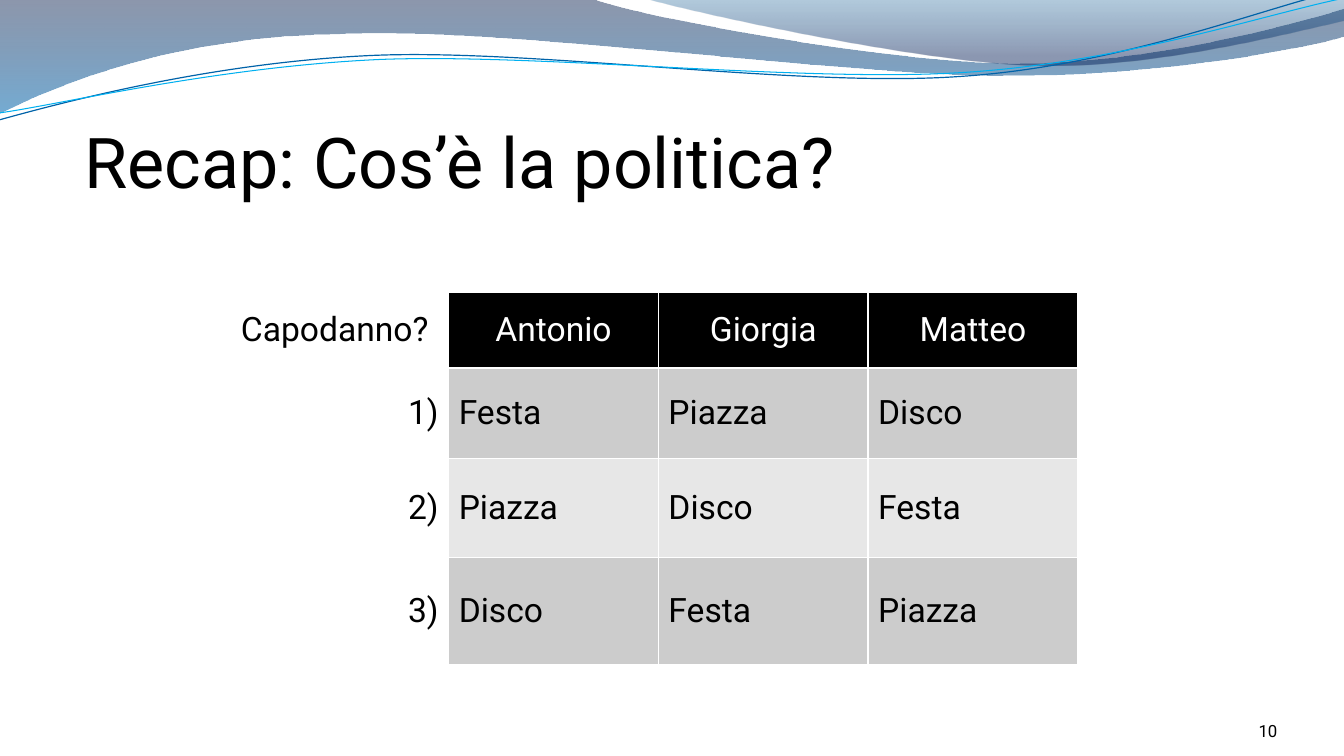
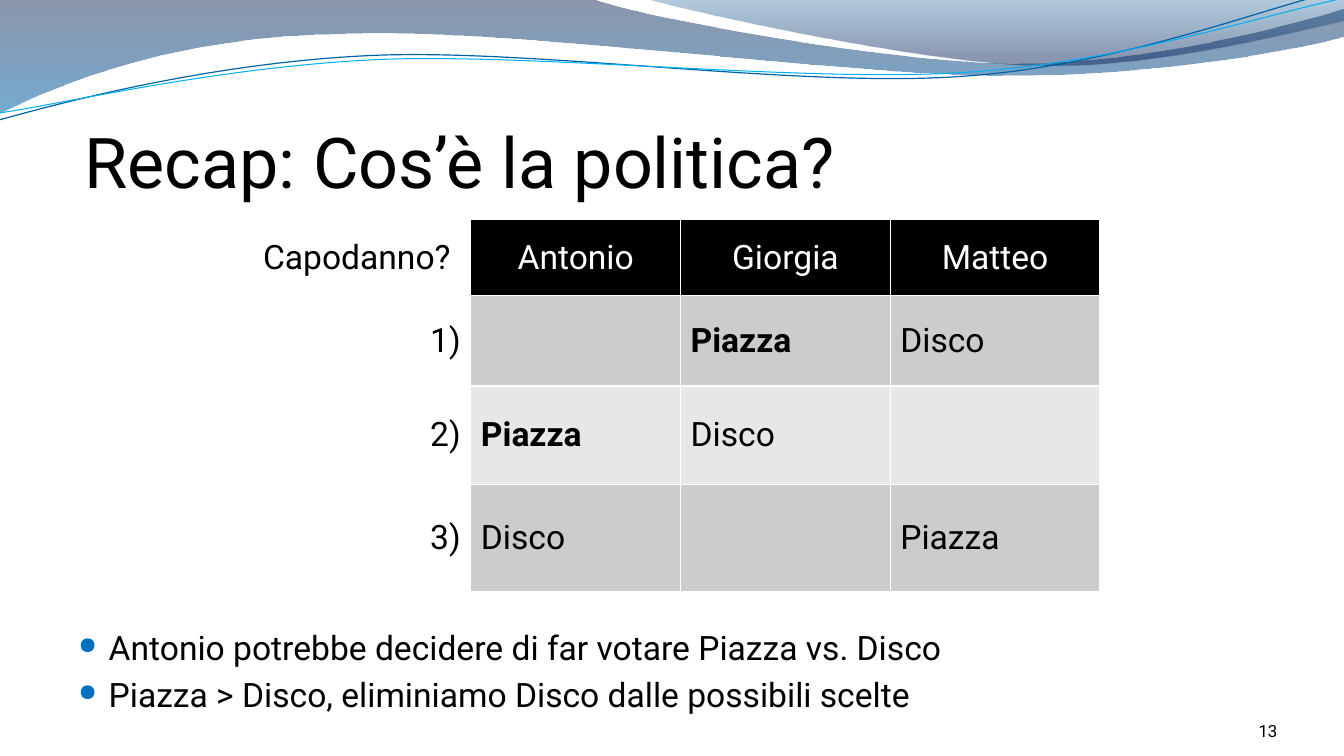
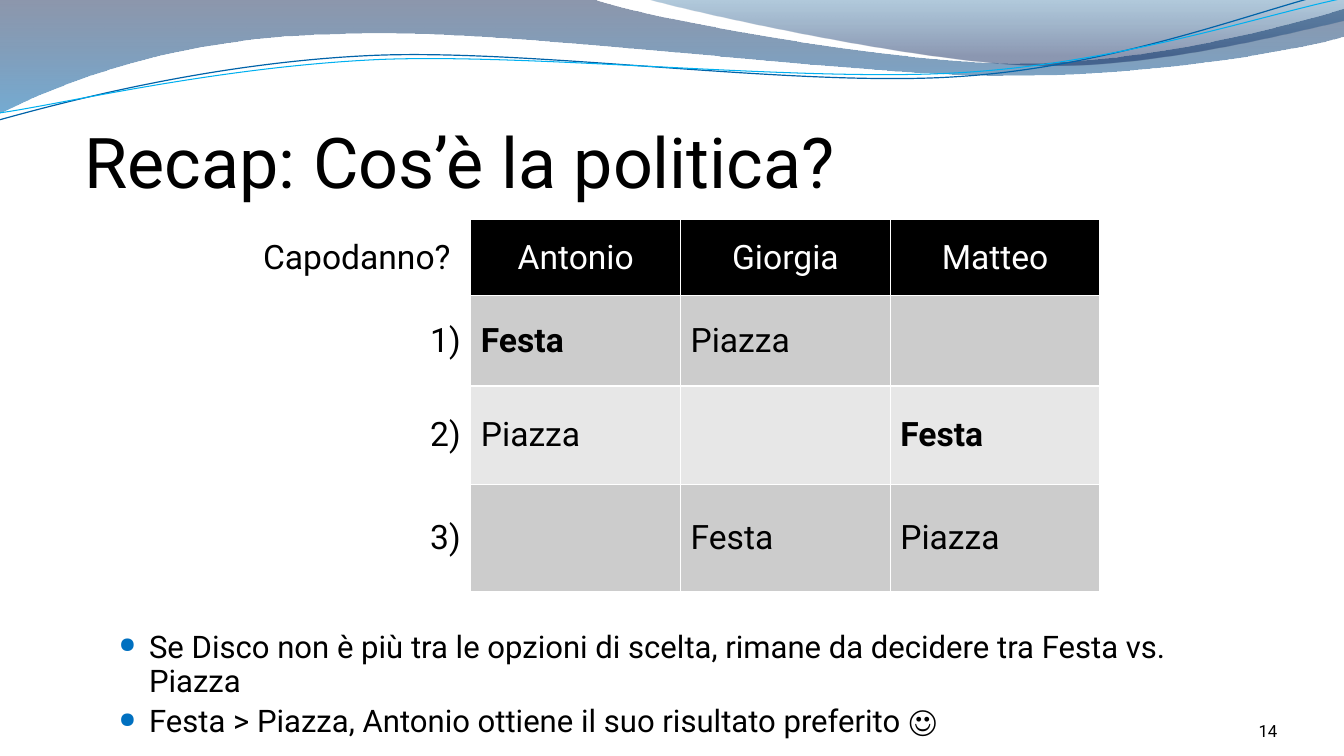
from dataclasses import dataclass
from typing import NamedTuple, Optional

from lxml import etree
from pptx import Presentation
from pptx import util as u
from pptx.dml.color import RGBColor
from pptx.enum import shapes, text
from pptx.oxml.ns import qn

EMU_PER_PX = 9144  # 100 px to the inch


def px(n: int) -> u.Emu:
    return u.Emu(n * EMU_PER_PX)


@dataclass(frozen=True)
class Theme:
    font: str = "Roboto"
    ink: str = "000000"
    paper: str = "FFFFFF"
    bullet: str = "0070C0"
    bands: tuple[str, str] = ("CCCCCC", "E7E7E7")
    title_pt: float = 50
    body_pt: float = 24
    small_body_pt: float = 22.2
    number_pt: float = 12
    bullet_gap_pt: float = 5
    bullet_percent: int = 70


THEME = Theme()


class Box(NamedTuple):
    x: int
    y: int
    w: int
    h: int

    def emu(self) -> tuple[u.Emu, ...]:
        return tuple(px(n) for n in self)


class Stop(NamedTuple):
    pos: float
    color: str
    alpha: int


class Wave(NamedTuple):
    """Steps hold one point for a line, or two controls and an end for a curve."""
    start: tuple[int, int]
    steps: tuple[tuple[int, ...], ...]
    stops: tuple[Stop, ...] = ()
    line: str = ""
    width: float = 0


class Bullets(NamedTuple):
    box: Box
    size: float
    spacing: float
    items: tuple[str, ...]


class Recap(NamedTuple):
    number: int
    table_at: tuple[int, int]
    votes: tuple[tuple[str, str, str], ...]
    winning_cells: tuple[tuple[int, int], ...] = ()
    bullets: Optional[Bullets] = None


WAVES = (
    Wave((0, 0),
         ((587, -1), (634, 17, 885, 63, 1011, 63), (1138, 63, 1278, 26, 1333, 9),
          (1335, 36), (1311, 44, 1160, 76, 994, 75), (829, 75, 509, 28, 343, 34),
          (172, 36, 61, 83, -1, 113), (0, 0)),
         stops=(Stop(0, "001847", 45), Stop(1, "0066AE", 55))),
    Wave((639, -1),
         ((679, 11, 909, 62, 1025, 65), (1141, 69, 1282, 32, 1333, 21),
          (1333, 0), (639, -1)),
         stops=(Stop(0, "00538E", 30), Stop(0.8, "001C55", 45))),
    Wave((-1, 119),
         ((64, 101, 211, 62, 369, 55), (527, 48, 790, 87, 950, 76),
          (1110, 66, 1252, 8, 1331, -10)), line="0063A9", width=0.85),
    Wave((0, 112),
         ((63, 103, 218, 66, 378, 59), (537, 53, 796, 82, 955, 72),
          (1115, 62, 1255, 14, 1334, -2)), line="00B0F0", width=0.75),
)

TITLE = "Recap: Cos’è la politica?"
TITLE_BOX = Box(84, 76, 1034, 125)
NUMBER_BOX = Box(1156, 695, 111, 40)
HEADER = ("Capodanno?", "Antonio", "Giorgia", "Matteo")
COLUMNS = (226, 208, 208, 208)
ROWS = (75, 90, 98, 106)

RECAPS = (
    Recap(10, (219, 290),
          (("Festa", "Piazza", "Disco"),
           ("Piazza", "Disco", "Festa"),
           ("Disco", "Festa", "Piazza"))),
    Recap(13, (241, 218),
          (("", "Piazza", "Disco"),
           ("Piazza", "Disco", ""),
           ("Disco", "", "Piazza")),
          winning_cells=((1, 2), (2, 1)),
          bullets=Bullets(Box(68, 617, 1130, 112), THEME.body_pt, 1, (
              "Antonio potrebbe decidere di far votare Piazza vs. Disco",
              "Piazza > Disco, eliminiamo Disco dalle possibili scelte"))),
    Recap(14, (241, 218),
          (("Festa", "Piazza", ""),
           ("Piazza", "", "Festa"),
           ("", "Festa", "Piazza")),
          winning_cells=((1, 1), (2, 3)),
          bullets=Bullets(Box(108, 622, 1059, 128), THEME.small_body_pt, 0.9, (
              "Se Disco non è più tra le opzioni di scelta, "
              "rimane da decidere tra Festa vs. Piazza",
              "Festa > Piazza, Antonio ottiene il suo risultato preferito ☺"))),
)


def rgb(color: str) -> RGBColor:
    return RGBColor.from_string(color)


def write(p, content: str, *, size: float = THEME.body_pt, color: str = THEME.ink,
          bold: bool = False, align=text.PP_ALIGN.LEFT) -> None:
    p.alignment = align
    r = p.add_run()
    r.text = content
    r.font.name = THEME.font
    r.font.size = u.Pt(size)
    r.font.bold = bold
    r.font.color.rgb = rgb(color)


def set_frame(tf, anchor, margins: tuple[int, int, int, int]) -> None:
    tf.word_wrap = True
    tf.auto_size = text.MSO_AUTO_SIZE.NONE
    tf.vertical_anchor = anchor
    tf.margin_left, tf.margin_top, tf.margin_right, tf.margin_bottom = map(px, margins)


def build_outline(slide, wave: Wave):
    """Draw every point with straight lines, then join each triple into a curve."""
    points = [(px(x), px(y)) for step in wave.steps
              for x, y in zip(step[::2], step[1::2])]
    builder = slide.shapes.build_freeform(*map(px, wave.start), scale=1.0)
    builder.add_line_segments(points, close=bool(wave.stops))
    sp = builder.convert_to_shape()
    lines = iter(list(sp.element.iter(qn("a:lnTo"))))
    for step in wave.steps:
        first = next(lines)
        if len(step) == 2:
            continue
        curve = etree.Element(qn("a:cubicBezTo"))
        first.addprevious(curve)
        for line in (first, next(lines), next(lines)):
            curve.append(line[0])
            line.getparent().remove(line)
    return sp


def add_wave(slide, wave: Wave):
    sp = build_outline(slide, wave)
    sp.shadow.inherit = False
    if not wave.stops:
        sp.fill.background()
        sp.line.color.rgb = rgb(wave.line)
        sp.line.width = u.Pt(wave.width)
        return sp
    sp.line.fill.background()
    sp.fill.gradient()
    sp.fill.gradient_angle = 270
    for gs, stop in zip(sp.fill.gradient_stops, wave.stops):
        gs.position = stop.pos
        gs.color.rgb = rgb(stop.color)
    for clr, stop in zip(sp.element.iter(qn("a:srgbClr")), wave.stops):
        etree.SubElement(clr, qn("a:alpha"), val=str(stop.alpha * 1000))
    return sp


def move_waves_to_layout(slide, layout) -> None:
    """Freeforms can only be built on a slide, so build them there and hand them on."""
    for ph in list(layout.placeholders):
        if ph.placeholder_format.type != shapes.PP_PLACEHOLDER.TITLE:
            layout.shapes.element.remove(ph.element)
    for wave in WAVES:
        layout.shapes.element.append(add_wave(slide, wave).element)


def add_title(slide) -> None:
    sp = slide.shapes.title
    sp.left, sp.top, sp.width, sp.height = TITLE_BOX.emu()
    set_frame(sp.text_frame, text.MSO_ANCHOR.BOTTOM, (0, 5, 0, 0))
    write(sp.text_frame.paragraphs[0], TITLE, size=THEME.title_pt)


def add_number(slide, number: int) -> None:
    tf = slide.shapes.add_textbox(*NUMBER_BOX.emu()).text_frame
    set_frame(tf, text.MSO_ANCHOR.BOTTOM, (0, 0, 0, 0))
    write(tf.paragraphs[0], str(number), size=THEME.number_pt,
          align=text.PP_ALIGN.RIGHT)


def set_borders(cell) -> None:
    tc_pr = cell._tc.get_or_add_tcPr()
    for side in ("lnL", "lnR", "lnT", "lnB"):
        ln = etree.SubElement(tc_pr, qn(f"a:{side}"), w=str(u.Pt(1)))
        fill = etree.SubElement(ln, qn("a:solidFill"))
        etree.SubElement(fill, qn("a:srgbClr"), val=THEME.paper)


def add_votes(slide, recap: Recap) -> None:
    box = Box(*recap.table_at, sum(COLUMNS), sum(ROWS))
    table = slide.shapes.add_table(len(ROWS), len(COLUMNS), *box.emu()).table
    table.first_row = table.horz_banding = False
    for column, width in zip(table.columns, COLUMNS):
        column.width = px(width)
    for row, height in zip(table.rows, ROWS):
        row.height = px(height)
    ranked = [(f"{rank})", *votes) for rank, votes in enumerate(recap.votes, 1)]
    for i, values in enumerate([HEADER, *ranked]):
        for j, value in enumerate(values):
            cell = table.cell(i, j)
            cell.vertical_anchor = text.MSO_ANCHOR.MIDDLE
            set_borders(cell)
            if j == 0:
                cell.fill.background()
            else:
                cell.fill.solid()
                cell.fill.fore_color.rgb = rgb(
                    THEME.bands[(i - 1) % 2] if i else THEME.ink)
            if i == 0:
                align = text.PP_ALIGN.CENTER
            else:
                align = text.PP_ALIGN.LEFT if j else text.PP_ALIGN.RIGHT
            if value:
                write(cell.text_frame.paragraphs[0], value, align=align,
                      color=THEME.paper if i == 0 and j else THEME.ink,
                      bold=(i, j) in recap.winning_cells)


def add_bullets(slide, bullets: Bullets) -> None:
    tf = slide.shapes.add_textbox(*bullets.box.emu()).text_frame
    set_frame(tf, text.MSO_ANCHOR.TOP, (10, 5, 10, 5))
    for i, item in enumerate(bullets.items):
        p = tf.add_paragraph() if i else tf.paragraphs[0]
        write(p, item, size=bullets.size)
        p.line_spacing = bullets.spacing
        p.space_after = u.Pt(THEME.bullet_gap_pt)
        p_pr = p._p.get_or_add_pPr()
        p_pr.set("marL", str(px(30)))
        p_pr.set("indent", str(px(-30)))
        clr = etree.SubElement(p_pr, qn("a:buClr"))
        etree.SubElement(clr, qn("a:srgbClr"), val=THEME.bullet)
        etree.SubElement(p_pr, qn("a:buSzPct"), val=str(THEME.bullet_percent * 1000))
        etree.SubElement(p_pr, qn("a:buChar"), char="●")


def main() -> None:
    prs = Presentation()
    prs.slide_width, prs.slide_height = px(1333), px(750)
    layout = prs.slide_layouts.get_by_name("Title Only")
    for i, recap in enumerate(RECAPS):
        slide = prs.slides.add_slide(layout)
        if i == 0:
            move_waves_to_layout(slide, layout)
        add_title(slide)
        add_votes(slide, recap)
        if recap.bullets:
            add_bullets(slide, recap.bullets)
        add_number(slide, recap.number)
    prs.save("out.pptx")


if __name__ == "__main__":
    main()
